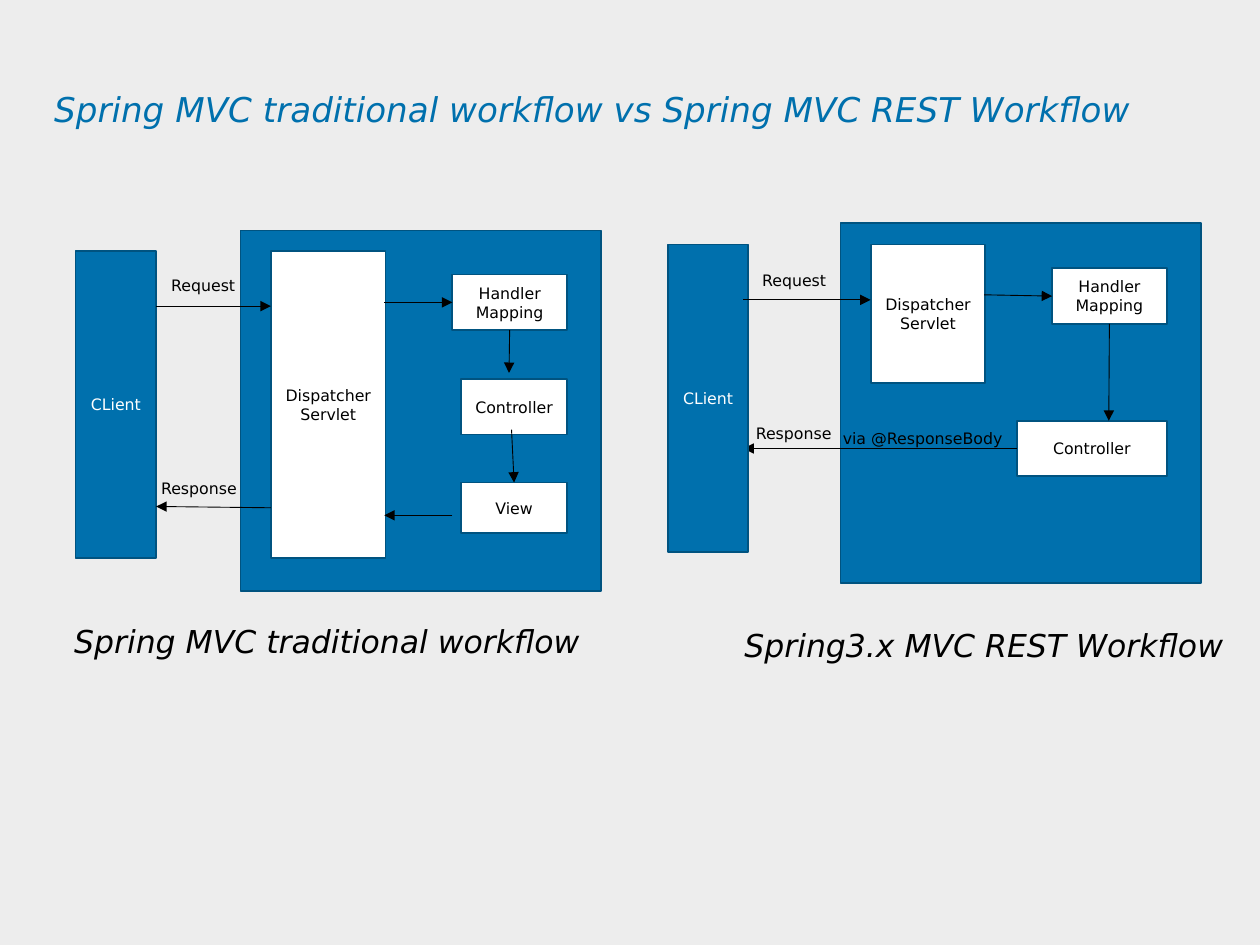
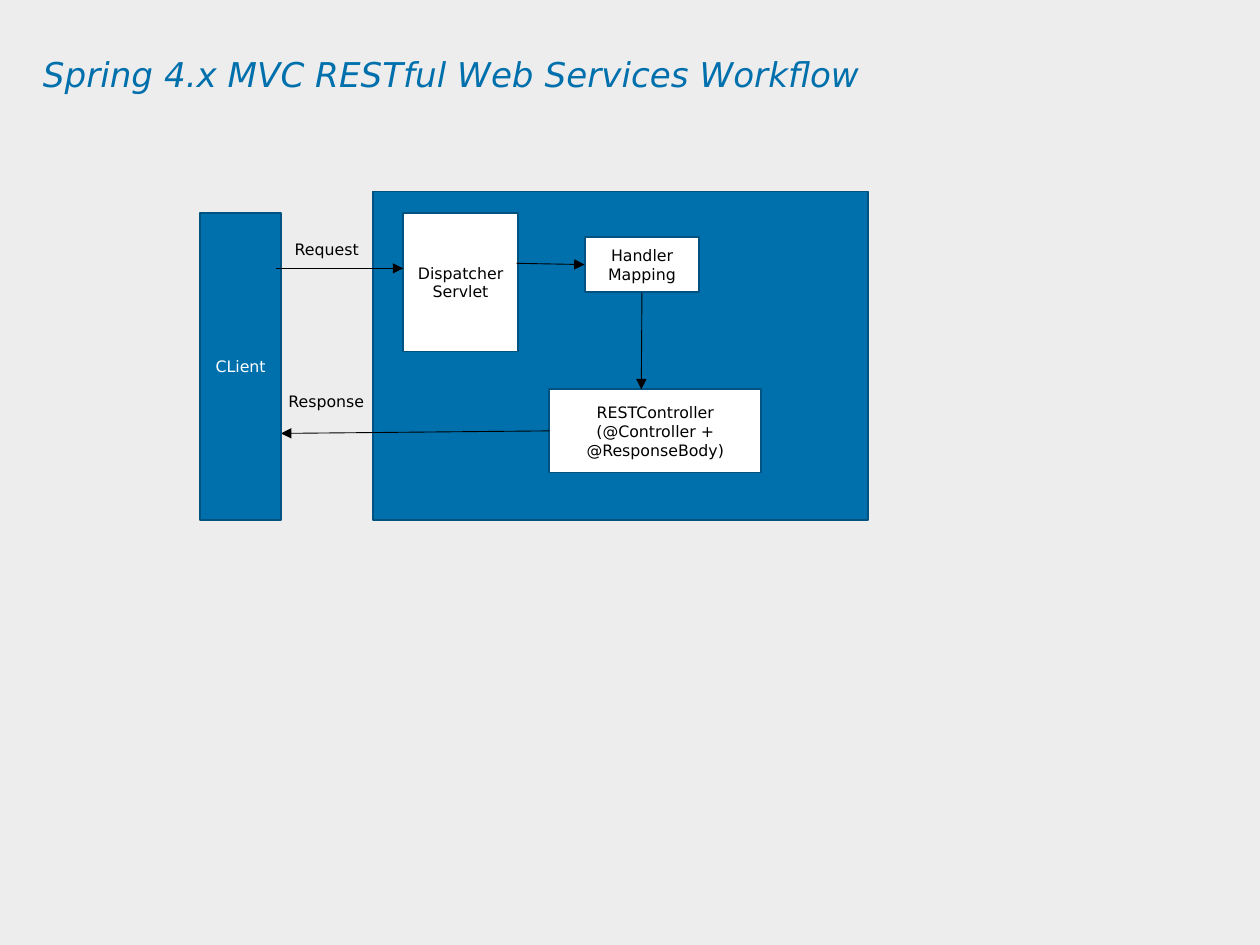
from dataclasses import dataclass
from pptx import Presentation, util as u
from pptx.dml.color import RGBColor
from pptx.enum import shapes, text
from pptx.oxml.ns import qn
from lxml import etree


@dataclass(frozen=True)
class Theme:
    font: str = "DejaVu Sans"
    back: str = "EDEDED"
    blue: str = "0070AD"
    edge: str = "005380"
    white: str = "FFFFFF"
    black: str = "000000"
    title: float = 19.5
    caption: float = 18
    label: float = 9


T = Theme()
TOP, LEFT, BOTTOM = 0, 1, 2  # sides of a box
SERVLET, HANDLER = "Dispatcher Servlet", "Handler Mapping"
CLIENT = (0, 0, 0.64, 2.44)

# Lengths in a diagram are inches from the top left corner of its client.
# A flow ends at a point (x, y) or at the middle of a side (box, side).
CLASSIC = dict(
    at=(0.6, 1.99),
    server=(1.31, -0.16, 2.86, 2.86),
    boxes={
        "servlet": (SERVLET, 1.55, 0, 0.91, 2.44),
        "handler": (HANDLER, 2.99, 0.19, 0.91, 0.44),
        "control": ("Controller", 3.06, 1.02, 0.84, 0.44),
        "view": ("View", 3.06, 1.84, 0.84, 0.4),
    },
    inner=[
        ((2.45, 0.41), ("handler", LEFT)),
        ((2.99, 2.1), (2.45, 2.1)),
        (("handler", BOTTOM), (3.44, 0.97)),
        ((3.46, 1.42), ("view", TOP)),
    ],
    outer=[((0.64, 0.44), (1.55, 0.44)), ((1.55, 2.04), (0.64, 2.03))],
    labels=[("Request", 0.66, 0.15, 0.72), ("Response", 0.58, 1.76, 0.81)],
)


def rest(at, size, control, reply, notes=()):
    """Describe a REST diagram; control is (text, width, height)."""
    name, wide, high = control
    return dict(
        at=at,
        server=(1.37, -0.17, *size),
        boxes={
            "servlet": (SERVLET, 1.61, 0, 0.91, 1.1),
            "handler": (HANDLER, 3.05, 0.19, 0.91, 0.44),
            "control": (name, 2.77, 1.4, wide, high),
        },
        inner=[
            ((2.51, 0.4), ("handler", LEFT)),
            (("control", LEFT), reply),
            (("handler", BOTTOM), (3.5, 1.4)),
        ],
        outer=[((0.6, 0.44), (1.61, 0.44))],
        labels=[("Request", 0.65, 0.16, 0.72),
                ("Response", 0.6, 1.37, 0.81), *notes],
    )


SLIDES = [
    dict(
        title="Spring MVC traditional workflow vs Spring MVC REST Workflow",
        place=(0.43, 0.74, 9.09, 0.5),
        charts=[
            CLASSIC,
            rest((5.3, 1.94), (2.86, 2.86), ("Controller", 1.19, 0.44),
                 (0.6, 1.62), [("via @ResponseBody", 1.29, 1.41, 1.48)]),
        ],
        captions=[
            ("Spring MVC traditional workflow", 0.49, 4.89, 4.28),
            ("Spring3.x MVC REST Workflow", 5.81, 4.92, 4.1),
        ],
    ),
    dict(
        title="Spring 4.x MVC RESTful Web Services Workflow",
        place=(0.34, 0.46, 9.09, 0.94),
        charts=[
            rest((1.59, 1.69), (3.93, 2.61),
                 ("RESTController\n(@Controller + @ResponseBody)", 1.68, 0.66),
                 (0.64, 1.75)),
        ],
        captions=[],
    ),
]


def rgb(color):
    return RGBColor.from_string(color)


def inches(*nums):
    return [u.Inches(n) for n in nums]


def write(frame, words, size, color, align, italic=False):
    frame.text = words
    for par in frame.paragraphs:
        par.alignment = align
        font = par.font
        font.name, font.size, font.italic = T.font, u.Pt(size), italic
        font.color.rgb = rgb(color)


def head(slide, words, place):
    title = slide.shapes.title
    title.left, title.top, title.width, title.height = inches(*place)
    frame = title.text_frame
    write(frame, words, T.title, T.blue, text.PP_ALIGN.LEFT, True)
    frame.auto_size = text.MSO_AUTO_SIZE.NONE
    frame.vertical_anchor = text.MSO_ANCHOR.TOP
    frame.margin_left = frame.margin_right = 0
    frame.margin_top = frame.margin_bottom = 0
    frame.paragraphs[0].line_spacing = 0.9


def note(slide, words, x, y, wide, high=0.25, size=T.label, italic=False):
    frame = slide.shapes.add_textbox(*inches(x, y, wide, high)).text_frame
    write(frame, words, size, T.black, text.PP_ALIGN.LEFT, italic)
    frame.word_wrap = False
    frame.auto_size = text.MSO_AUTO_SIZE.SHAPE_TO_FIT_TEXT


def block(slide, x, y, wide, high, fill, words="", ink=T.black):
    box = slide.shapes.add_shape(shapes.MSO_SHAPE.RECTANGLE,
                                 *inches(x, y, wide, high))
    box.shadow.inherit = False
    box.fill.solid()
    box.fill.fore_color.rgb = rgb(fill)
    box.line.color.rgb = rgb(T.edge)
    box.line.width = u.Pt(1)
    if words:
        box.text_frame.vertical_anchor = text.MSO_ANCHOR.MIDDLE
        write(box.text_frame, words, T.label, ink, text.PP_ALIGN.CENTER)
    return box


def arrow(slide, start, end, left, top, boxes):
    def spot(stop):
        return (0, 0) if stop[0] in boxes else (left + stop[0], top + stop[1])

    line = slide.shapes.add_connector(shapes.MSO_CONNECTOR.STRAIGHT,
                                      *inches(*spot(start), *spot(end)))
    for stop, join in (start, line.begin_connect), (end, line.end_connect):
        if stop[0] in boxes:
            join(boxes[stop[0]], stop[1])
    line.line.color.rgb = rgb(T.black)
    line.line.width = u.Pt(0.5)
    props = line._element.spPr
    etree.SubElement(props.find(qn("a:ln")), qn("a:tailEnd"), type="triangle")
    etree.SubElement(props, qn("a:effectLst"))


def draw(slide, chart):
    left, top = chart["at"]

    def put(x, y, *rest):
        return block(slide, left + x, top + y, *rest)

    put(*chart["server"], T.blue)
    boxes = {key: put(*area, T.white, words)
             for key, (words, *area) in chart["boxes"].items()}
    for flow in chart["inner"]:
        arrow(slide, *flow, left, top, boxes)
    put(*CLIENT, T.blue, "CLient", T.white)
    for flow in chart["outer"]:
        arrow(slide, *flow, left, top, boxes)
    for words, x, y, wide in chart["labels"]:
        note(slide, words, left + x, top + y, wide)


def main():
    deck = Presentation()
    deck.slide_width, deck.slide_height = inches(10, 7.5)
    back = deck.slide_master.background.fill
    back.solid()
    back.fore_color.rgb = rgb(T.back)
    for page in SLIDES:
        slide = deck.slides.add_slide(deck.slide_layouts[5])
        head(slide, page["title"], page["place"])
        for chart in page["charts"]:
            draw(slide, chart)
        for caption in page["captions"]:
            note(slide, *caption, 0.4, T.caption, True)
    deck.save("out.pptx")


if __name__ == "__main__":
    main()
